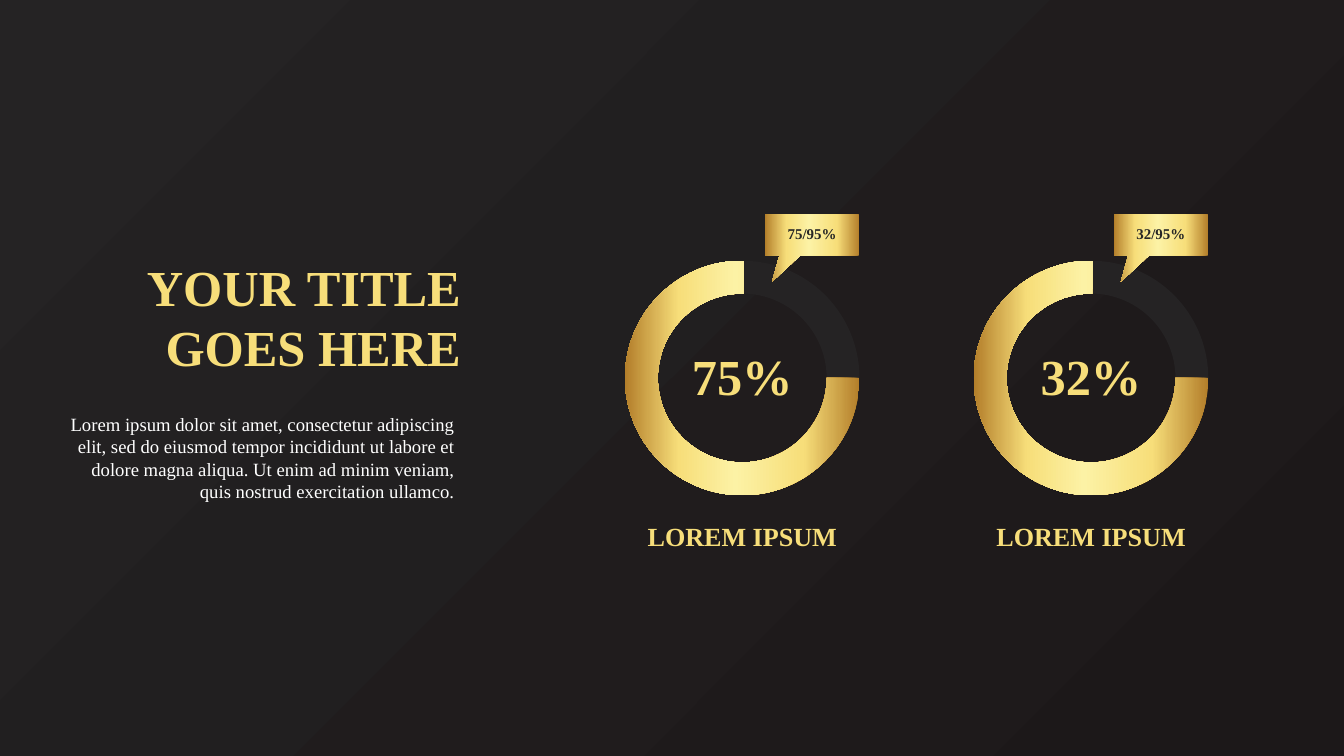
from lxml import etree
from pptx import Presentation
from pptx import util as u
from pptx.dml.color import RGBColor
from pptx.enum import shapes, text
from pptx.oxml import ns

PX = 9144  # EMU in one px: 100 px to the inch
HUES = {"night": "1C1819", "coal": "252324", "ink": "262626", "white": "FFFFFF",
        "bronze": "B37E2A", "gold": "F7DE7A", "cream": "FCF2A5"}
GILT = [(0, "bronze"), (24, "gold"), (53, "cream"), (77, "gold"), (100, "bronze")]
DUSK = [(0, "night"), (100, "coal")]
FACE = "Times New Roman"
BODY = ("Lorem ipsum dolor sit amet, consectetur adipiscing elit, sed do eiusmod "
        "tempor incididunt ut labore et dolore magna aliqua. Ut enim ad minim "
        "veniam, quis nostrud exercitation ullamco.")

HEAD = {"size": u.Pt(54), "bold": True}
NAME = {"size": u.Pt(28), "bold": True}
TAG = {"size": u.Pt(16), "bold": True}
PLAIN = {"size": u.Pt(20), "bold": False}


def blend(fill, host, stops):
    """Give fill, found within the element host, a gradient with these stops."""
    fill.gradient()
    grad = next(host.iter(ns.qn("a:gradFill")))
    rows = grad.find(ns.qn("a:gsLst"))
    for old in list(rows):
        rows.remove(old)
    for pos, hue in stops:
        stop = etree.SubElement(rows, ns.qn("a:gs"), pos=str(pos * 1000))
        etree.SubElement(stop, ns.qn("a:srgbClr"), val=HUES[hue])
    return grad


class Deck:
    def __init__(self, wide, high):
        self.show = Presentation()
        self.show.slide_width, self.show.slide_height = wide * PX, high * PX
        self.slide = self.show.slides.add_slide(self.show.slide_layouts[6])

    def paint(self, fill, host, hue):
        """Fill with a plain colour, or with the gold gradient for "gilt"."""
        if hue == "gilt":
            line = blend(fill, host, GILT).find(ns.qn("a:lin"))
            line.set("ang", str(180 * 60000))
        else:
            fill.solid()
            fill.fore_color.rgb = RGBColor.from_string(HUES[hue])

    def ground(self):
        """Shade the background outward from the bottom right corner."""
        grad = blend(self.slide.background.fill, self.slide.element, DUSK)
        grad.remove(grad.find(ns.qn("a:lin")))
        path = etree.SubElement(grad, ns.qn("a:path"), path="circle")
        etree.SubElement(path, ns.qn("a:fillToRect"), l="100000", t="100000")

    def finish(self, shape, hue):
        shape.shadow.inherit = False
        shape.line.fill.background()
        self.paint(shape.fill, shape.element, hue)

    def ring(self, kind, x, y, size, hue, turns):
        box = (n * PX for n in (x, y, size, size))
        shape = self.slide.shapes.add_shape(kind, *box)
        for i, turn in enumerate(turns):
            shape.adjustments[i] = turn
        self.finish(shape, hue)

    def outline(self, points, hue):
        pen = self.slide.shapes.build_freeform(*points[0], scale=PX)
        pen.add_line_segments(points[1:], close=True)
        self.finish(pen.convert_to_shape(), hue)

    def words(self, box, lines, look, hue, align="CENTER", wrap=True, inset=True):
        area = self.slide.shapes.add_textbox(*(n * PX for n in box))
        frame = area.text_frame
        frame.word_wrap = wrap
        frame.auto_size = text.MSO_AUTO_SIZE.SHAPE_TO_FIT_TEXT
        if not inset:
            for side in ("left", "top", "right", "bottom"):
                setattr(frame, f"margin_{side}", 0)
        for i, line in enumerate(lines):
            para = frame.add_paragraph() if i else frame.paragraphs[0]
            para.alignment = getattr(text.PP_ALIGN, align)
            run = para.add_run()
            run.text = line
            for key, value in {"name": FACE, **look}.items():
                setattr(run.font, key, value)
            self.paint(run.font.fill, run._r, hue)

    def gauge(self, x, share):
        """Ring at left edge x with its share, callout and label."""
        y, size, band = 388, 349, 0.14
        self.words((x + 87, 508, 175, 101), [f"{share}%"], HEAD, "gilt", wrap=False)
        self.ring(shapes.MSO_SHAPE.DONUT, x, y, size, "coal", [band])
        # Block arc angles: 0.6 to a degree, clockwise from the right
        self.ring(shapes.MSO_SHAPE.BLOCK_ARC, x, y, size, "gilt",
                  [0, 270.8 * 0.6, band])
        flag = [(349, 319), (208, 319), (208, 380), (230, 380),
                (219, 419), (261, 380), (349, 380)]
        self.outline([(x + dx, dy) for dx, dy in flag], "gilt")
        self.words((x + 227, 330, 103, 37), [f"{share}/95%"], TAG, "ink")
        self.words((x, 769, size, 57), ["LOREM IPSUM"], NAME, "gilt")


def main():
    deck = Deck(2000, 1125)
    deck.ground()
    for i, share in enumerate((75, 32)):
        deck.gauge(930 + 519 * i, share)
    deck.words((94, 609, 592, 145), [BODY], PLAIN, "white", "RIGHT")
    deck.words((214, 381, 472, 182), ["YOUR TITLE", "GOES HERE"], HEAD, "gilt",
               "RIGHT", wrap=False, inset=False)
    deck.show.save("out.pptx")


if __name__ == "__main__":
    main()
